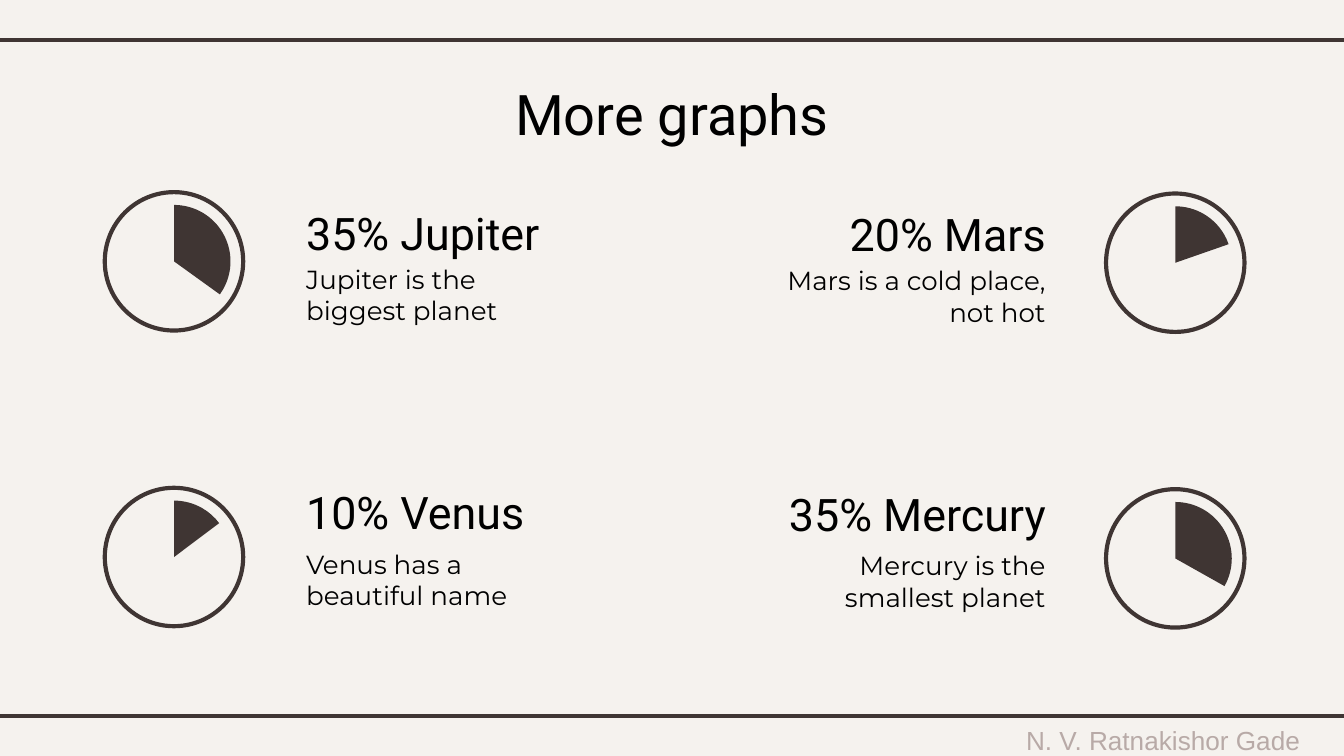
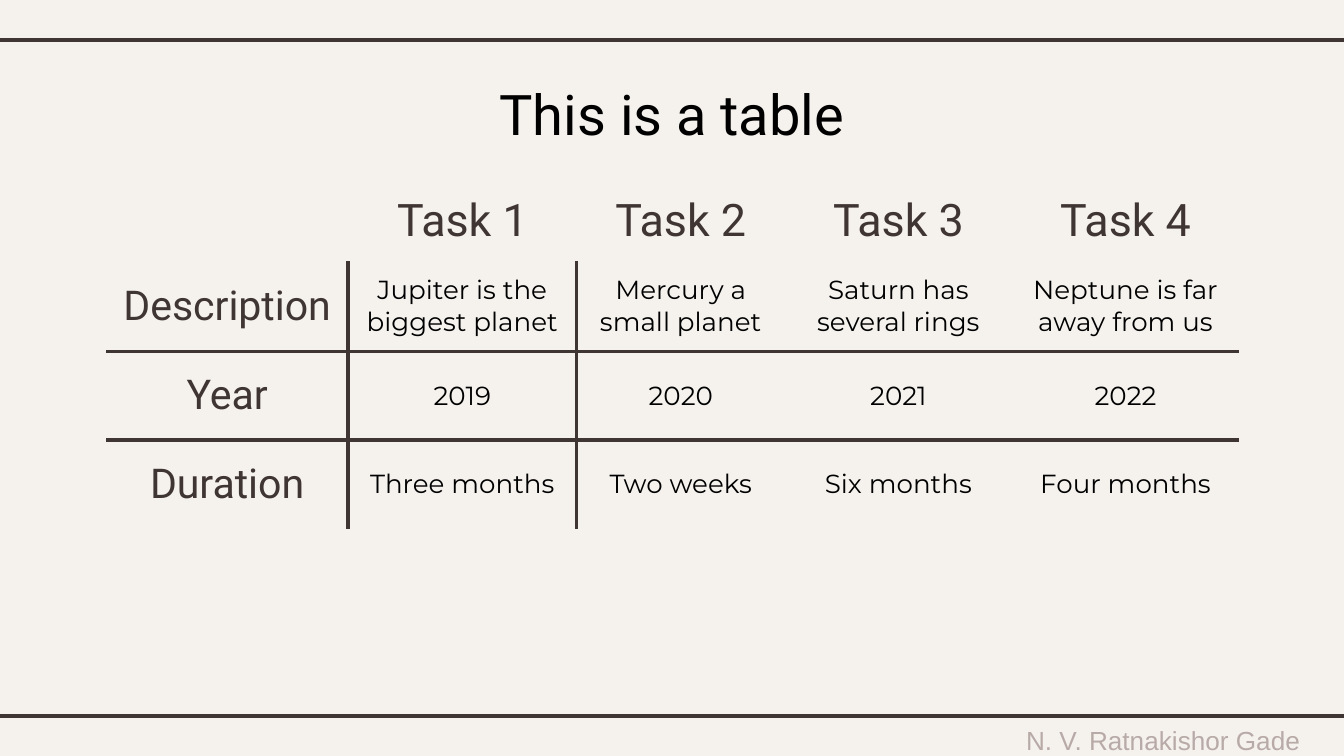
from lxml import etree
from pptx import Presentation
from pptx.dml.color import RGBColor
from pptx.enum.shapes import MSO_CONNECTOR, MSO_SHAPE
from pptx.enum.text import MSO_ANCHOR, MSO_AUTO_SIZE, PP_ALIGN
from pptx.oxml.ns import qn
from pptx.util import Inches, Pt

LEFT, CENTER, RIGHT = PP_ALIGN.LEFT, PP_ALIGN.CENTER, PP_ALIGN.RIGHT
TOP, MIDDLE = MSO_ANCHOR.TOP, MSO_ANCHOR.MIDDLE
STRAIGHT = MSO_CONNECTOR.STRAIGHT
ELLIPSE, PIE = MSO_SHAPE.OVAL, MSO_SHAPE.PIE
NO_AUTOFIT = MSO_AUTO_SIZE.NONE

COLORS = {"paper": "F5F2EE", "brown": "3F3533", "text": "000000", "footer": "B8AAA7"}
HEADING_FONT, BODY_FONT, FOOTER_FONT = "Roboto", "Montserrat", "Arial"
LINE_WIDTH = Pt(2.25)
PLAIN_TABLE_STYLE = "{2D5ABB26-0587-4C30-8999-92F81FD0307C}"

RING_SIZE, PIE_SIZE = 1.03, 0.84
PLANET_COLUMNS = [
    {"ring": 0.78, "text": 2.18, "drop": 0, "align": LEFT},
    {"ring": 8.23, "text": 5.75, "drop": 0.01, "align": RIGHT},
]
PLANET_ROWS = [
    {"ring": 1.43, "heading": 1.43, "body": 1.86},
    {"ring": 3.63, "heading": 3.51, "body": 3.98},
]
PLANETS = [
    [("35% Jupiter", "Jupiter is the biggest planet", 125.77),
     ("20% Mars", "Mars is a cold place, not hot", 70.77)],
    [("10% Venus", "Venus has a beautiful name", 53.07),
     ("35% Mercury", "Mercury is the smallest planet", 119.33)],
]

TASK_COLUMNS = [1.8, 1.7, 1.55, 1.69, 1.69]
TASK_ROWS = [0.53, 0.66, 0.66, 0.66]
TASKS = [
    ["", "Task 1", "Task 2", "Task 3", "Task 4"],
    ["Description", "Jupiter is the biggest planet", "Mercury a small planet",
     "Saturn has several rings", "Neptune is far away from us"],
    ["Year", "2019", "2020", "2021", "2022"],
    ["Duration", "Three months", "Two weeks", "Six months", "Four months"],
]


def rgb(name):
    return RGBColor.from_string(COLORS[name])


def format_text(text_frame, font_name, size, color, align):
    for paragraph in text_frame.paragraphs:
        paragraph.alignment = align
        for run in paragraph.runs:
            run.font.name = font_name
            run.font.size = Pt(size)
            run.font.color.rgb = rgb(color)


def set_margins(target, inset):
    target.margin_left = target.margin_right = Inches(inset)
    target.margin_top = target.margin_bottom = Inches(inset)


def fill_text(shape, text, font_name, size, color, align, anchor=TOP, inset=0.1):
    text_frame = shape.text_frame
    text_frame.text = text
    text_frame.word_wrap = True
    text_frame.auto_size = NO_AUTOFIT
    text_frame.vertical_anchor = anchor
    set_margins(text_frame, inset)
    format_text(text_frame, font_name, size, color, align)


def add_text(slide, box, *text_style, **options):
    shape = slide.shapes.add_textbox(*map(Inches, box))
    fill_text(shape, *text_style, **options)


def add_rule(slide, top):
    rule = slide.shapes.add_connector(
        STRAIGHT, Inches(-0.08), Inches(top), Inches(10.08), Inches(top))
    rule.line.color.rgb = rgb("brown")
    rule.line.width = LINE_WIDTH
    etree.SubElement(rule._element.spPr, qn("a:effectLst"))


def add_slide(presentation, title_text):
    slide = presentation.slides.add_slide(presentation.slide_layouts[5])
    add_text(slide, (7.31, 5.41, 2.69, 0.19), "N. V. Ratnakishor Gade",
             FOOTER_FONT, 14, "footer", CENTER, anchor=MIDDLE, inset=0)
    for top in (0.3, 5.33):
        add_rule(slide, top)
    title = slide.shapes.title
    title.left, title.top, title.width, title.height = map(
        Inches, (0.78, 0.49, 8.44, 0.63))
    fill_text(title, title_text, HEADING_FONT, 30, "text", CENTER)
    return slide


def add_dial(slide, left, top, degrees):
    group = slide.shapes.add_group_shape()
    ring = group.shapes.add_shape(
        ELLIPSE, Inches(left), Inches(top), Inches(RING_SIZE), Inches(RING_SIZE))
    ring.shadow.inherit = False
    ring.fill.background()
    ring.line.color.rgb = rgb("brown")
    ring.line.width = LINE_WIDTH

    gap = (RING_SIZE - PIE_SIZE) / 2
    wedge = group.shapes.add_shape(
        PIE, Inches(left + gap), Inches(top + gap), Inches(PIE_SIZE), Inches(PIE_SIZE))
    wedge.shadow.inherit = False
    wedge.rotation = 270
    wedge.adjustments[0] = 0
    wedge.adjustments[1] = degrees * 0.6
    wedge.fill.solid()
    wedge.fill.fore_color.rgb = rgb("brown")
    wedge.line.fill.background()


def add_planet(slide, column, row, heading, body, degrees):
    left, drop, align = column["text"], column["drop"], column["align"]
    add_text(slide, (left, row["body"] + drop, 2.13, 0.68),
             body, BODY_FONT, 14, "text", align)
    add_text(slide, (left, row["heading"] + drop, 2.13, 0.54),
             heading, HEADING_FONT, 24, "text", align)
    add_dial(slide, column["ring"], row["ring"] + drop, degrees)


def add_border(cell, side):
    border = etree.SubElement(
        cell._tc.get_or_add_tcPr(), qn(f"a:ln{side}"), w=str(LINE_WIDTH))
    fill = etree.SubElement(border, qn("a:solidFill"))
    etree.SubElement(fill, qn("a:srgbClr"), val=COLORS["brown"])


def border_sides(row, column):
    rules = [
        ("L", row > 0 and column == 1),
        ("R", row > 0 and column == 0),
        ("T", row > 1),
        ("B", 0 < row < len(TASKS) - 1),
    ]
    return [side for side, shown in rules if shown]


def cell_style(row, column):
    if row == 0:
        return HEADING_FONT, 24, "brown"
    if column == 0:
        return HEADING_FONT, 22, "brown"
    return BODY_FONT, 14, "text"


def add_task_table(slide):
    frame = slide.shapes.add_table(
        len(TASK_ROWS), len(TASK_COLUMNS), Inches(0.79), Inches(1.35),
        Inches(sum(TASK_COLUMNS)), Inches(sum(TASK_ROWS)))
    table = frame.table
    table.first_row = table.horz_banding = False
    table._tbl.tblPr.find(qn("a:tableStyleId")).text = PLAIN_TABLE_STYLE
    for column, width in zip(table.columns, TASK_COLUMNS):
        column.width = Inches(width)
    for row, height in zip(table.rows, TASK_ROWS):
        row.height = Inches(height)
    for row, texts in enumerate(TASKS):
        for column, text in enumerate(texts):
            cell = table.cell(row, column)
            cell.text = text
            cell.vertical_anchor = MIDDLE
            set_margins(cell, 0.1)
            format_text(cell.text_frame, *cell_style(row, column), CENTER)
            for side in border_sides(row, column):
                add_border(cell, side)
            cell.fill.background()


def main():
    presentation = Presentation()
    presentation.slide_width = Inches(10)
    presentation.slide_height = Inches(5.625)
    background = presentation.slide_master.background.fill
    background.solid()
    background.fore_color.rgb = rgb("paper")

    graphs_slide = add_slide(presentation, "More graphs")
    for row, planets in zip(PLANET_ROWS, PLANETS):
        for column, planet in zip(PLANET_COLUMNS, planets):
            add_planet(graphs_slide, column, row, *planet)

    table_slide = add_slide(presentation, "This is a table")
    add_task_table(table_slide)

    presentation.save("out.pptx")


if __name__ == "__main__":
    main()
